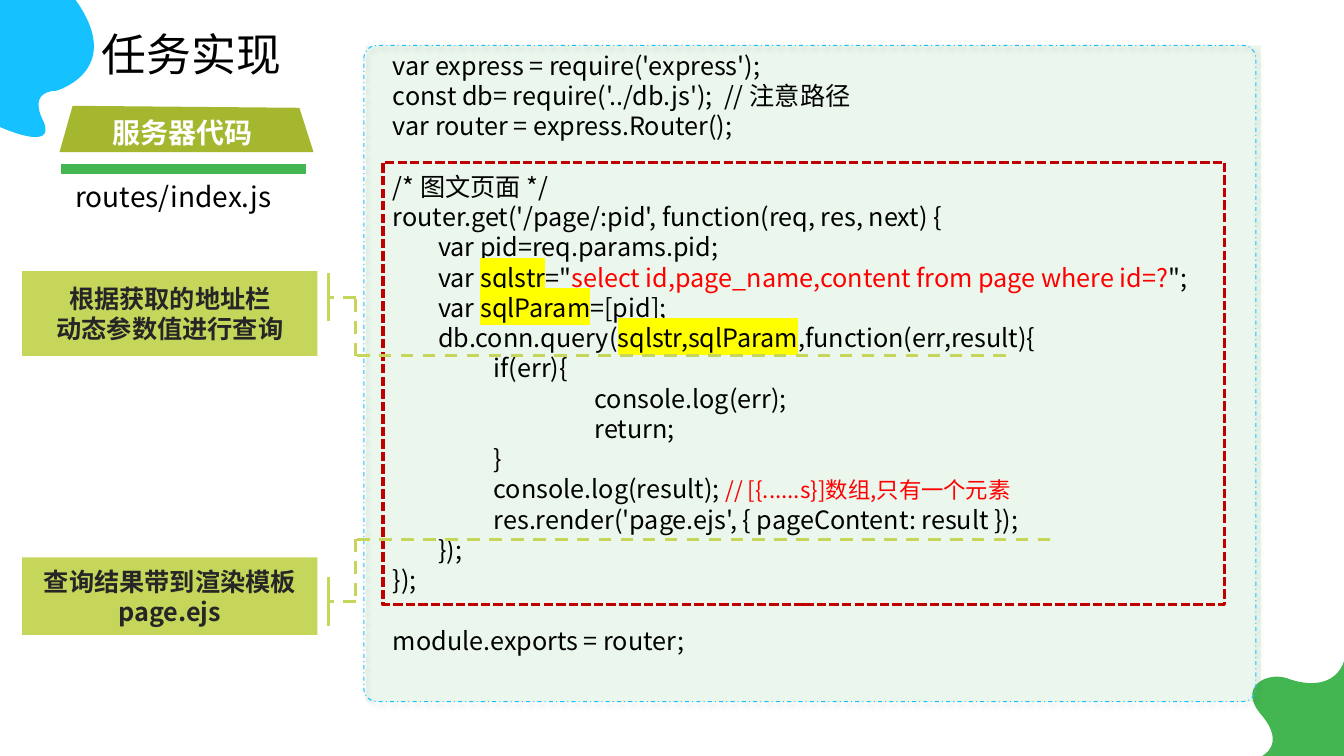
import lxml.etree
import pptx
import pptx.dml.color
import pptx.enum.dml
import pptx.enum.shapes
import pptx.enum.text
import pptx.oxml
import pptx.oxml.ns
import pptx.util

RGBColor = pptx.dml.color.RGBColor
SHAPE = pptx.enum.shapes.MSO_SHAPE
DASH = pptx.enum.dml.MSO_LINE
Pt = pptx.util.Pt
qn = pptx.oxml.ns.qn

BLACK = RGBColor(0x00, 0x00, 0x00)
WHITE = RGBColor(0xFF, 0xFF, 0xFF)
CHARCOAL = RGBColor(0x26, 0x26, 0x26)
BLUE = RGBColor(0x15, 0xC2, 0xFF)
GREEN = RGBColor(0x43, 0xB6, 0x51)
LIME = RGBColor(0xC6, 0xD6, 0x5B)
OLIVE = RGBColor(0xA5, 0xB7, 0x2E)
RED = RGBColor(0xFF, 0x00, 0x00)
DARK_RED = RGBColor(0xC0, 0x00, 0x00)
FONT = "Noto Sans CJK SC"
LINE_HEIGHT = 1.2

presentation = pptx.Presentation()
presentation.slide_width = pptx.util.Inches(13.333)
presentation.slide_height = pptx.util.Inches(7.5)
slide = presentation.slides.add_slide(presentation.slide_layouts[6])

# Grid of 160 columns by 90 rows
COLUMN = presentation.slide_width / 160
ROW = presentation.slide_height / 90
SCALE = (COLUMN, ROW, COLUMN, ROW)


def style(shape, fill=None, line=None, width=1, dash=None):
    shape.shadow.inherit = False
    if fill is None:
        shape.fill.background()
    else:
        shape.fill.solid()
        shape.fill.fore_color.rgb = fill
    if line is None:
        shape.line.fill.background()
    else:
        shape.line.color.rgb = line
        shape.line.width = Pt(width)
        shape.line.dash_style = dash


def write(shape, lines, size, color, wrap=True, bold=False, align=None):
    """Fill a shape with lines of (text, format) runs; an empty line becomes space before."""
    frame = shape.text_frame
    frame.word_wrap = wrap
    paragraph, gap = frame.paragraphs[0], 0
    for number, runs in enumerate(lines):
        if not runs:
            gap = size * LINE_HEIGHT
            continue
        if number:
            paragraph = frame.add_paragraph()
        paragraph.alignment = align
        paragraph.line_spacing = Pt(size * LINE_HEIGHT)
        if gap:
            paragraph.space_before = Pt(gap)
            gap = 0
        if "\t" in runs[0][0]:
            tabs = lxml.etree.SubElement(paragraph._p.get_or_add_pPr(), qn("a:tabLst"))
            for inches in (1, 2):
                tab = lxml.etree.SubElement(tabs, qn("a:tab"))
                tab.set("pos", str(int(pptx.util.Inches(inches))))
                tab.set("algn", "l")
        for text, changes in runs:
            run = paragraph.add_run()
            run.text = text
            values = {"size": Pt(changes.get("size", size)), "bold": bold, "name": FONT}
            for name, value in values.items():
                setattr(run.font, name, value)
            run.font.color.rgb = changes.get("color", color)
            properties = run.font._element
            lxml.etree.SubElement(properties, qn("a:ea")).set("typeface", FONT)
            if "highlight" in changes:
                highlight = lxml.etree.Element(qn("a:highlight"))
                lxml.etree.SubElement(highlight, qn("a:srgbClr")).set("val", changes["highlight"])
                properties.find(qn("a:solidFill")).addnext(highlight)


# Corner blobs and banner: points after the start form curves, three to each, then lines
outlines = [
    (BLUE, 3, [(0, 15.12),
               (0, 15.12), (6.84, 18.24), (5.16, 14.4),
               (5.16, 14.4), (3.12, 10.92), (6.72, 10.8),
               (6.72, 10.8), (15, 8.4), (9, 0), (0, 0)]),
    (GREEN, 3, [(150.24, 90),
                (150.24, 90), (153.12, 88.68), (150.24, 85.2),
                (147.24, 81.84), (150.72, 79.92), (153.24, 80.76),
                (155.76, 81.72), (159, 81.72), (160, 78.72), (160, 90)]),
    (OLIVE, 0, [(8.64, 12.6), (35.64, 12.84), (37.32, 18.12), (7.08, 18.12)]),
]
for color, curve_count, points in outlines:
    corners = [(x * COLUMN, y * ROW) for x, y in points]
    builder = slide.shapes.build_freeform(*corners[0])
    builder.add_line_segments(corners[1:], close=True)
    outline = builder.convert_to_shape()
    style(outline, fill=color)
    segments = list(outline._element.iter(qn("a:lnTo")))
    for index in range(0, curve_count * 3, 3):
        curve = lxml.etree.Element(qn("a:cubicBezTo"))
        segments[index].addprevious(curve)
        for segment in segments[index:index + 3]:
            curve.append(segment[0])
            segment.getparent().remove(segment)

# Code panel and title bar
boxes = [
    (SHAPE.RECTANGLE, (43.56, 5.4, 106.56, 78.12), {"fill": GREEN}),
    (SHAPE.ROUNDED_RECTANGLE, (43.32, 5.4, 106.2, 78.12),
     {"line": BLUE, "width": 0.75, "dash": DASH.DASH_DOT}),
    (SHAPE.RECTANGLE, (45.6, 19.32, 100.2, 52.68),
     {"line": DARK_RED, "width": 2.25, "dash": DASH.SQUARE_DOT}),
    (SHAPE.RECTANGLE, (7.32, 19.56, 29.04, 1.08), {"fill": GREEN, "line": GREEN}),
]
drawn = []
for kind, place, look in boxes:
    shape = slide.shapes.add_shape(kind, *(int(n * unit) for n, unit in zip(place, SCALE)))
    style(shape, **look)
    drawn.append(shape)
panel, border = drawn[:2]
panel_color = panel._element.spPr.find(qn("a:solidFill")).find(qn("a:srgbClr"))
lxml.etree.SubElement(panel_color, qn("a:alpha")).set("val", "10000")
border.adjustments[0] = 0.02
border._element.spPr.find(qn("a:effectLst")).append(pptx.oxml.parse_xml(
    '<a:outerShdw xmlns:a="http://schemas.openxmlformats.org/drawingml/2006/main" '
    'blurRad="50800" dist="38100" dir="2700000"><a:srgbClr val="000000">'
    '<a:alpha val="40000"/></a:srgbClr></a:outerShdw>'))

# Text boxes
MARK = {"highlight": "FFFF00"}
code = [
    [("var express = require('express');", {})],
    [("const db= require('../db.js');  // 注意路径", {})],
    [("var router = express.Router();", {})],
    [],
    [("/* 图文页面 */", {})],
    [("router.get('/page/:pid', function(req, res, next) {", {})],
    [("        var pid=req.params.pid;", {})],
    [("        var ", {}), ("sqlstr", MARK), ("=\"", {}),
     ("select id,page_name,content from page where id=?", {"color": RED}), ("\";", {})],
    [("        var ", {}), ("sqlParam", MARK), ("=[pid];", {})],
    [("        db.conn.query(", {}), ("sqlstr,sqlParam", MARK), (",function(err,result){", {})],
    [("\tif(err){", {})],
    [("\t\tconsole.log(err);", {})],
    [("\t\treturn;", {})],
    [("\t}", {})],
    [("  \tconsole.log(result); ", {}),
     ("// [{......s}]数组,只有一个元素", {"size": 16, "color": RED})],
    [("  \tres.render('page.ejs', { pageContent: result });", {})],
    [("        });", {})],
    [("});", {})],
    [],
    [("module.exports = router;", {})],
]
texts = [
    ((45.6, 5.4, 102.48, 76.32), code, {"size": 18, "color": BLACK}),
    ((10.92, 2.64, 23.76, 7.68), [[("任务实现", {})]],
     {"size": 32, "color": BLACK, "wrap": False}),
    ((7.8, 20.76, 27.48, 5.28), [[("routes/index.js", {})]], {"size": 20, "color": BLACK}),
    ((12.24, 13.2, 19.08, 5.28), [[("服务器代码", {})]],
     {"size": 20, "color": WHITE, "wrap": False, "bold": True}),
]
for place, lines, look in texts:
    box = slide.shapes.add_textbox(*(int(n * unit) for n, unit in zip(place, SCALE)))
    write(box, lines, **look)

# Callouts: label, then underline, riser, link and tick
TICK_X, RISER_X = 39.12, 42.36
callouts = [
    (("根据获取的地址栏", "动态参数值进行查询"), 32.28, 10.08, (32.52, 38.16), 35.4, 42.36, 119.76),
    (("查询结果带到渲染模板", "page.ejs"), 66.36, 9.24, (68.64, 74.52), 71.64, 64.2, 125.04),
]
for labels, top, height, (tick_top, tick_bottom), link_y, code_y, code_end in callouts:
    group = slide.shapes.add_group_shape()
    place = (2.64, top, 35.16, height)
    label = group.shapes.add_shape(SHAPE.RECTANGLE,
                                   *(int(n * unit) for n, unit in zip(place, SCALE)))
    style(label, fill=LIME)
    label.text_frame.vertical_anchor = pptx.enum.text.MSO_ANCHOR.MIDDLE
    write(label, [[(text, {})] for text in labels], 18, CHARCOAL, bold=True,
          align=pptx.enum.text.PP_ALIGN.CENTER)
    strokes = [
        ((code_end, code_y, RISER_X, code_y), DASH.DASH),
        ((RISER_X, code_y, RISER_X, link_y), DASH.DASH),
        ((RISER_X, link_y, TICK_X, link_y), DASH.DASH),
        ((TICK_X, tick_top, TICK_X, tick_bottom), DASH.SOLID),
    ]
    for ends, dash in strokes:
        connector = group.shapes.add_connector(
            pptx.enum.shapes.MSO_CONNECTOR.STRAIGHT,
            *(int(n * unit) for n, unit in zip(ends, SCALE)))
        for name, value in {"width": Pt(2.25), "dash_style": dash}.items():
            setattr(connector.line, name, value)
        connector.line.color.rgb = LIME
        lxml.etree.SubElement(connector._element.spPr, qn("a:effectLst"))

presentation.save("out.pptx")
